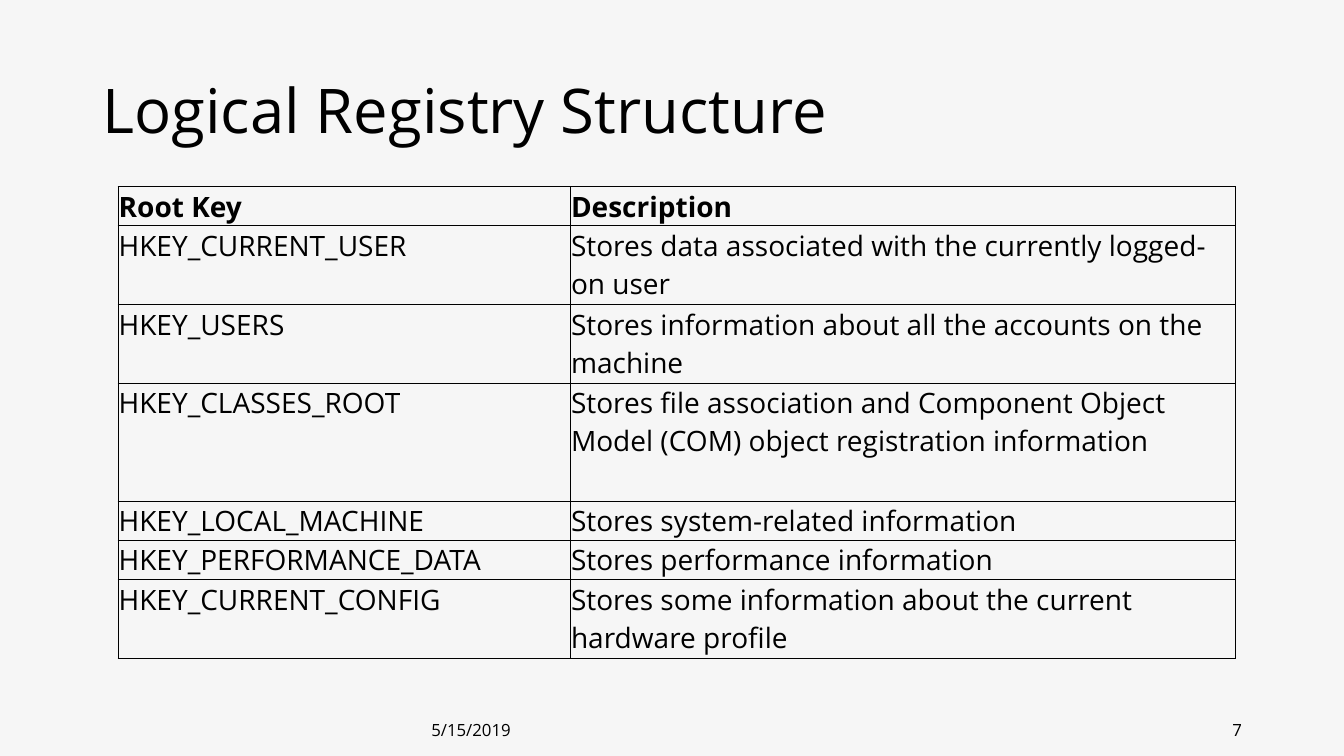
from lxml.etree import SubElement
from pptx import Presentation
from pptx.dml.color import RGBColor
from pptx.enum.text import MSO_ANCHOR, MSO_AUTO_SIZE, PP_ALIGN
from pptx.oxml import parse_xml
from pptx.oxml.ns import nsdecls, qn
from pptx.util import Cm, Pt

INK = RGBColor(0x00, 0x00, 0x00)
PAPER = RGBColor(0xF6, 0xF6, 0xF6)
FONT = "Open Sans"
LINE_HEIGHT = 0.99

ROOT_KEYS = [
    ("Root Key", "Description", 1),
    ("HKEY_CURRENT_USER", "Stores data associated with the currently logged-on user", 2),
    ("HKEY_USERS", "Stores information about all the accounts on the machine", 2),
    ("HKEY_CLASSES_ROOT", "Stores file association and Component Object Model (COM) "
     "object registration information", 3),
    ("HKEY_LOCAL_MACHINE", "Stores system-related information", 1),
    ("HKEY_PERFORMANCE_DATA", "Stores performance information", 1),
    ("HKEY_CURRENT_CONFIG", "Stores some information about the current hardware profile", 2),
]


class PageBuilder:
    def __init__(self, deck):
        self.page = deck.slides.add_slide(deck.slide_layouts[5])
        fill = self.page.background.fill
        fill.solid()
        fill.fore_color.rgb = PAPER

    def set_text(self, frame, text, size, bold=False, align=PP_ALIGN.LEFT):
        frame.text = text
        frame.word_wrap = True
        para = frame.paragraphs[0]
        para.alignment = align
        font = para.runs[0].font
        font.name = FONT
        font.size = Pt(size)
        font.bold = bold
        font.color.rgb = INK
        return para

    def title(self, text, left, top, width, height):
        box = self.page.shapes.title
        box.left, box.top, box.width, box.height = Cm(left), Cm(top), Cm(width), Cm(height)
        para = self.set_text(box.text_frame, text, 44)
        para.line_spacing = 0.9
        box.text_frame.auto_size = MSO_AUTO_SIZE.NONE
        box.text_frame.vertical_anchor = MSO_ANCHOR.MIDDLE

    def footer(self, text, left, width, align=PP_ALIGN.LEFT):
        box = self.page.shapes.add_textbox(Cm(left), Cm(17.75), Cm(width), Cm(1.02))
        self.set_text(box.text_frame, text, 12, align=align)
        box.text_frame.vertical_anchor = MSO_ANCHOR.BOTTOM

    def border(self, cell):
        properties = cell._tc.get_or_add_tcPr()
        for index, side in enumerate(("lnL", "lnR", "lnT", "lnB")):
            line = parse_xml(f'<a:{side} {nsdecls("a")} w="{Pt(0.5)}"/>')
            fill = SubElement(line, qn("a:solidFill"))
            SubElement(fill, qn("a:srgbClr"), val=str(INK))
            properties.insert(index, line)

    def table(self, rows, left, top, widths):
        heights = [lines * LINE_HEIGHT for *_, lines in rows]
        table = self.page.shapes.add_table(
            len(rows), len(widths), Cm(left), Cm(top), Cm(sum(widths)), Cm(sum(heights))
        ).table
        table.horz_banding = False
        for column, width in zip(table.columns, widths):
            column.width = Cm(width)
        for index, (row, height) in enumerate(zip(table.rows, heights)):
            row.height = Cm(height)
            header = index == 0
            for cell, text in zip(row.cells, rows[index]):
                cell.margin_left = cell.margin_right = cell.margin_top = Cm(0.02)
                cell.margin_bottom = 0
                cell.vertical_anchor = MSO_ANCHOR.MIDDLE if header else MSO_ANCHOR.TOP
                cell.fill.background()
                self.border(cell)
                self.set_text(cell.text_frame, text, 20, bold=header)


def main():
    deck = Presentation()
    deck.slide_width, deck.slide_height = Cm(33.87), Cm(19.05)
    builder = PageBuilder(deck)
    builder.footer("5/15/2019", 10.62, 3.43)
    builder.footer("7", 29.11, 2.44, PP_ALIGN.RIGHT)
    builder.title("Logical Registry Structure", 2.33, 1.01, 29.21, 3.68)
    builder.table(ROOT_KEYS, 2.97, 4.7, [11.4, 16.76])
    deck.save("out.pptx")


if __name__ == "__main__":
    main()
